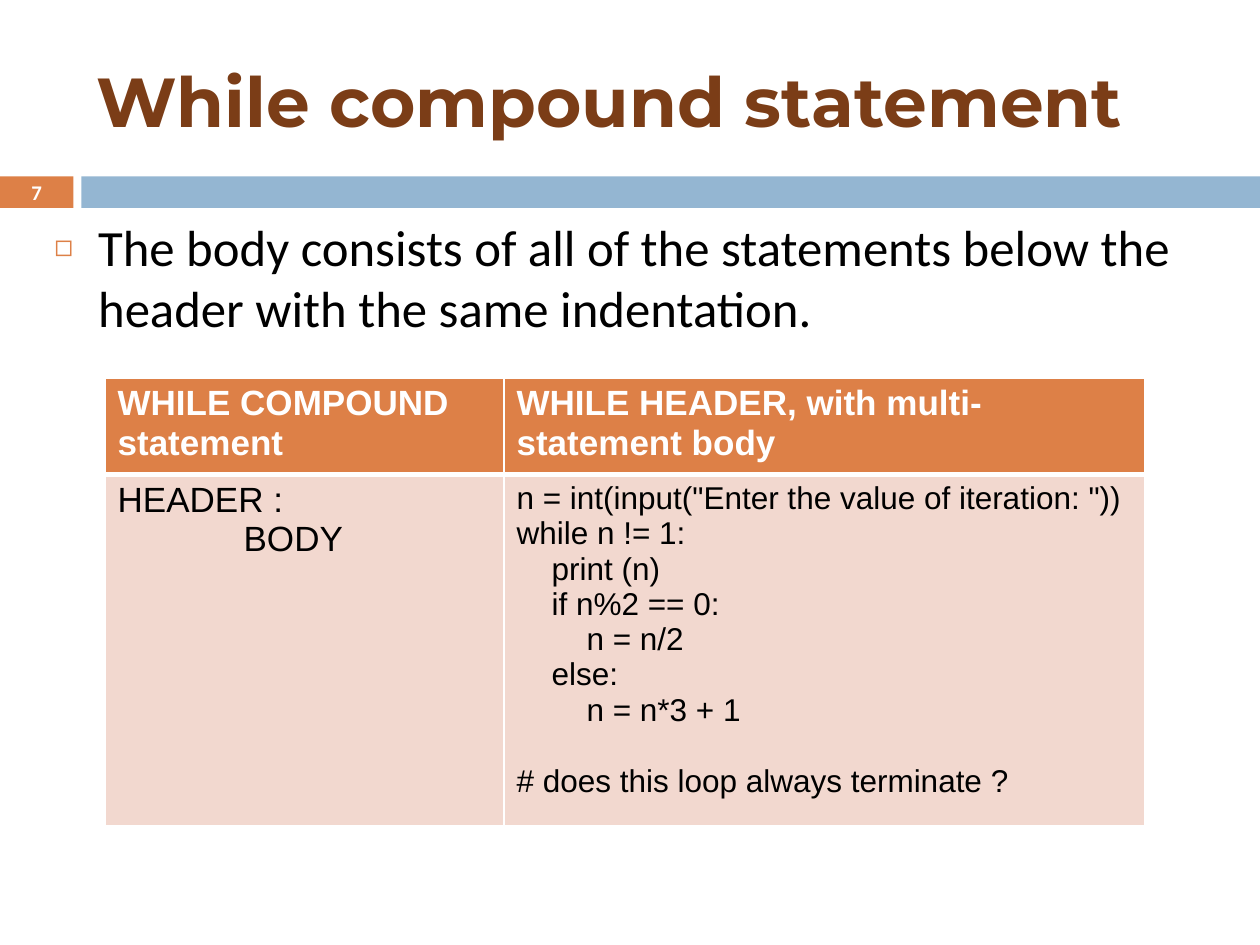
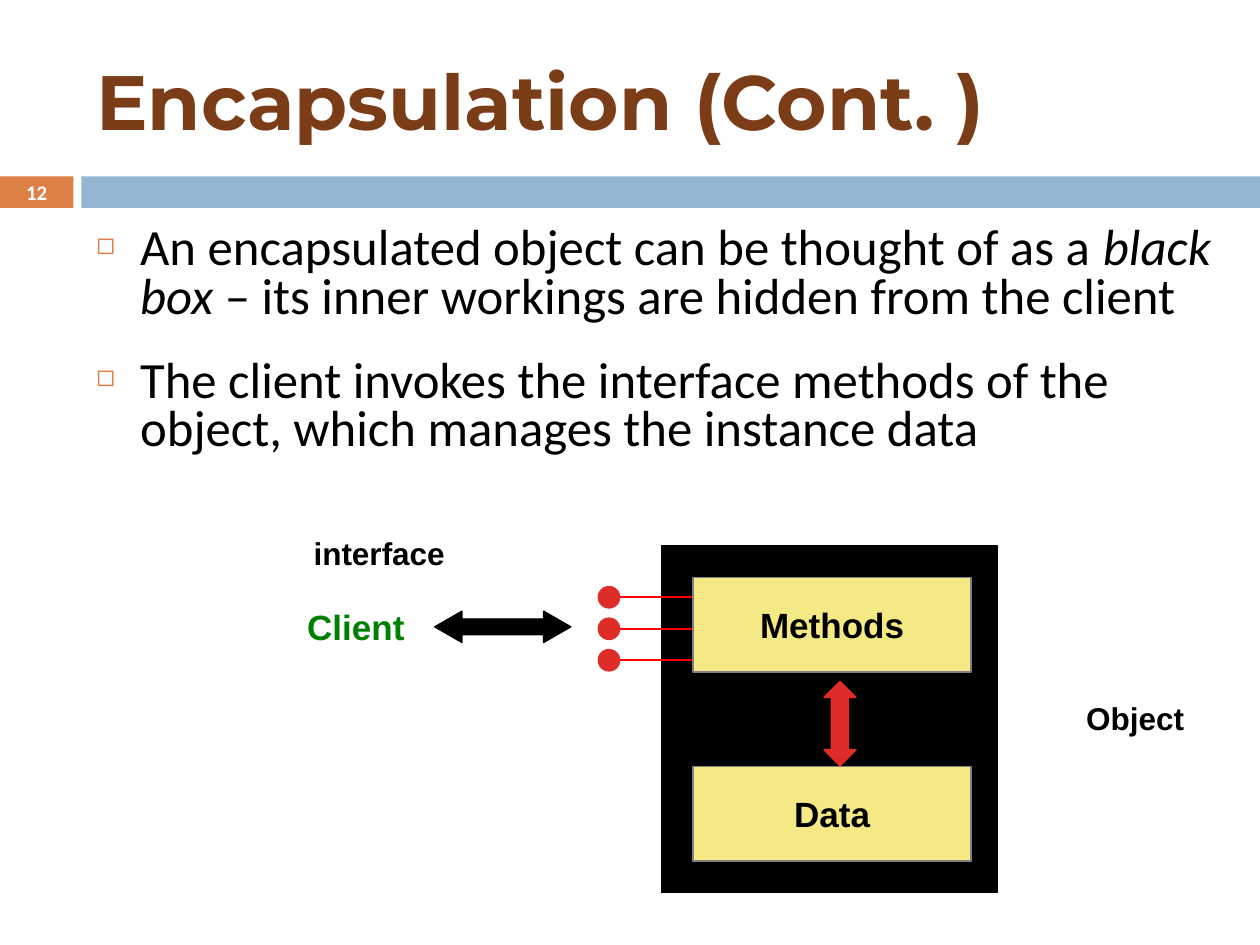
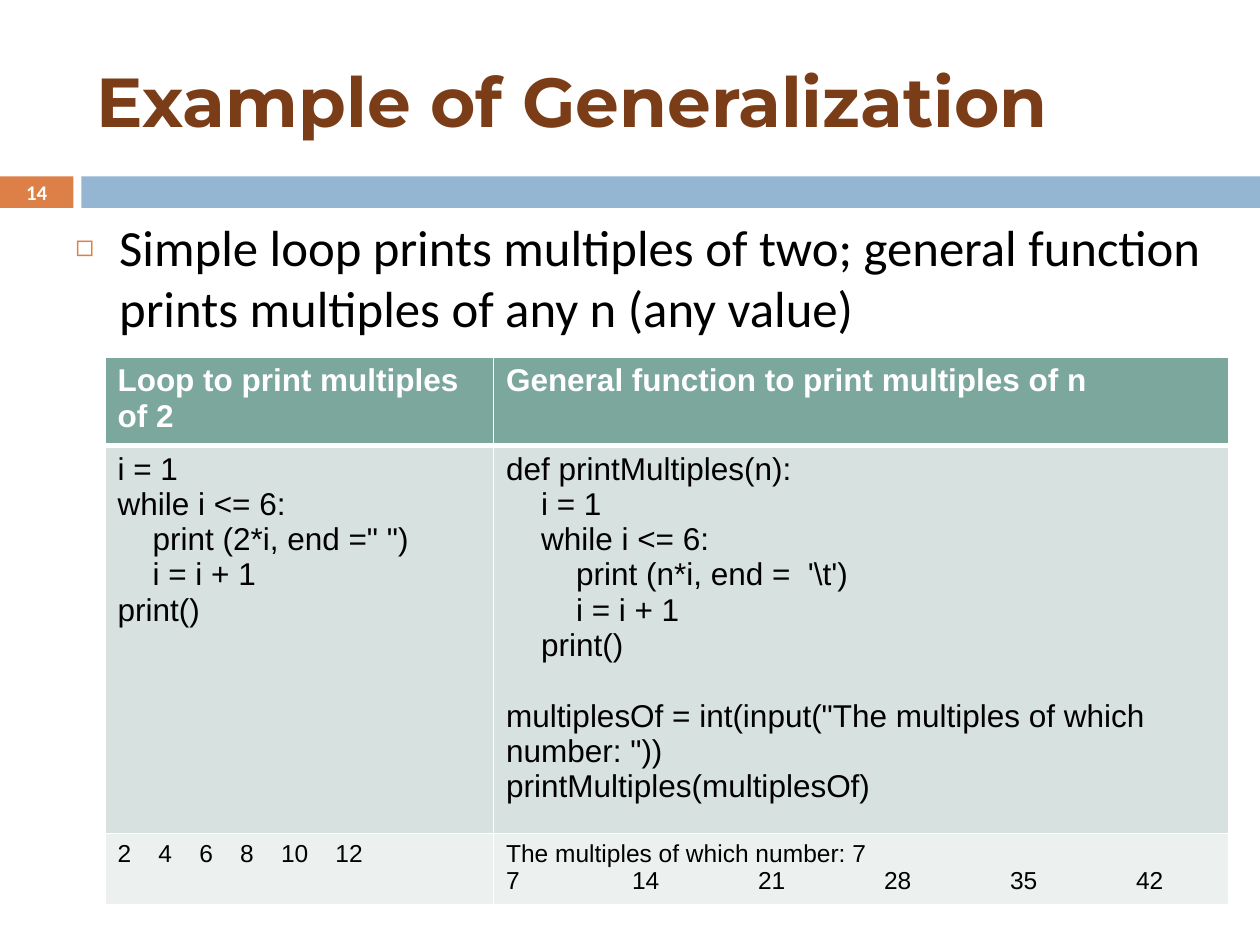
from lxml import etree
from pptx import Presentation
from pptx.dml.color import RGBColor
from pptx.enum.shapes import MSO_CONNECTOR, MSO_SHAPE
from pptx.enum.text import MSO_ANCHOR, PP_ALIGN
from pptx.oxml.ns import qn
from pptx.util import Pt

RECT, OVAL = MSO_SHAPE.RECTANGLE, MSO_SHAPE.OVAL
WIDE, TALL = MSO_SHAPE.LEFT_RIGHT_ARROW, MSO_SHAPE.UP_DOWN_ARROW
LINE = MSO_CONNECTOR.STRAIGHT
MID, TOP = MSO_ANCHOR.MIDDLE, MSO_ANCHOR.TOP
LEFT, MIDDLE = PP_ALIGN.LEFT, PP_ALIGN.CENTER

WHITE = RGBColor(0xFF, 0xFF, 0xFF)
BLACK = RGBColor(0, 0, 0)
BROWN = RGBColor(0x7B, 0x3D, 0x17)
ORANGE = RGBColor(0xDD, 0x80, 0x47)
BLUE = RGBColor(0x94, 0xB6, 0xD2)
PINK = RGBColor(0xF2, 0xD8, 0xCF)
TEAL = RGBColor(0x7B, 0xA7, 0x9D)
SAGE = RGBColor(0xD7, 0xE1, 0xDF)
MIST = RGBColor(0xEC, 0xF1, 0xEF)
RED = RGBColor(0xDE, 0x2C, 0x28)
BRIGHT = RGBColor(0xFF, 0, 0)
YELLOW = RGBColor(0xF5, 0xE9, 0x85)
GRAY = RGBColor(0x80, 0x80, 0x80)
GREEN = RGBColor(0, 0x80, 0)

HEAD, BODY, CODE = "Montserrat", "Calibri", "Arial"
ROW = 29.5  # least height of a table row; rows grow with their text


def pts(*values):
    return [Pt(v) for v in values]


def node(parent, tag, **attrs):
    item = etree.SubElement(parent, qn(tag))
    for key, value in attrs.items():
        item.set(key, str(value))
    return item


def style(para, face, size, color, bold=False):
    for run in para.runs:
        font = run.font
        font.name, font.size, font.bold = face, Pt(size), bold
        font.color.rgb = color


def label(shape, text, face, size, color, align=MIDDLE, anchor=MID, wrap=True):
    """Write one bold line into a shape or text box."""
    frame = shape.text_frame
    frame.text = text
    frame.word_wrap, frame.vertical_anchor = wrap, anchor
    frame.paragraphs[0].alignment = align
    style(frame.paragraphs[0], face, size, color, True)


def note(slide, box, text, *look, **place):
    label(slide.shapes.add_textbox(*pts(*box)), text, *look, **place)


def block(slide, kind, box, fill, line=None, width=1):
    shape = slide.shapes.add_shape(kind, *pts(*box))
    shape.shadow.inherit = False
    shape.fill.solid()
    shape.fill.fore_color.rgb = fill
    if line is None:
        shape.line.fill.background()
    else:
        shape.line.color.rgb = line
        shape.line.width = Pt(width)
    return shape


def rule(slide, x1, y1, x2, y2):
    line = slide.shapes.add_connector(LINE, *pts(x1, y1, x2, y2))
    line.line.color.rgb = BRIGHT
    line.line.width = Pt(1)
    node(line._element.spPr, "a:effectLst")


def base(deck, title, number, size=39.6):
    """Start a slide with its bands, title and number."""
    slide = deck.slides.add_slide(deck.slide_layouts[6])
    block(slide, RECT, (0, 100.8, 42, 18), ORANGE)
    block(slide, RECT, (46.5, 100.8, 673.5, 18), BLUE)
    note(slide, (48, 18, 642, 78), title, HEAD, size, BROWN, align=LEFT)
    note(slide, (0, 100, 42, 19.5), str(number), BODY, 11.9, WHITE)
    return slide


def points(slide, box, items, gap=7, pitch=None):
    """List bullets; every second part of an item is italic."""
    frame = slide.shapes.add_textbox(*pts(*box)).text_frame
    frame.word_wrap = True
    for i, parts in enumerate(items):
        para = frame.add_paragraph() if i else frame.paragraphs[0]
        for j, part in enumerate(parts):
            run = para.add_run()
            run.text = part
            run.font.italic = j % 2 == 1
        style(para, BODY, 29, BLACK)
        para.space_before = Pt(gap if i else 0)
        if pitch:
            para.line_spacing = pitch
        props = para._p.get_or_add_pPr()
        props.set("marL", str(Pt(25)))
        props.set("indent", str(Pt(-25)))
        node(node(props, "a:buClr"), "a:srgbClr", val=ORANGE)
        node(props, "a:buSzPct", val=60000)
        node(props, "a:buFont", typeface=CODE)
        node(props, "a:buChar", char="\u25fb")


def edges(cell, top, bottom):
    props = cell._tc.get_or_add_tcPr()
    for side, width in zip("LRTB", (1, 1, top, bottom)):
        line = node(props, "a:ln" + side, w=Pt(width))
        node(node(line, "a:solidFill"), "a:srgbClr", val=WHITE)


def fill(cell, text, size, color, bold, step=20, stops=()):
    """Fill a cell; leading tabs set the level, an empty line sets a gap."""
    frame = cell.text_frame
    gap, first = 0, True
    for line in text.split("\n"):
        if not line:
            gap = size * 1.13
            continue
        para = frame.paragraphs[0] if first else frame.add_paragraph()
        words = line.lstrip("\t")
        para.text = words
        para.space_before = Pt(gap)
        style(para, CODE, size, color, bold)
        props = para._p.get_or_add_pPr()
        props.set("marL", str(Pt(step * (len(line) - len(words)))))
        if stops:
            tabs = node(props, "a:tabLst")
            for stop in stops:
                node(tabs, "a:tab", pos=Pt(stop), algn="l")
        gap, first = 0, False


def grid(slide, box, cols, fills, cells):
    """Place a table; each cell is (text, size, step, stops)."""
    frame = slide.shapes.add_table(len(cells), len(cols), *pts(*box))
    table = frame.table
    for col, width in zip(table.columns, cols):
        col.width = Pt(width)
    for r, color in enumerate(fills):
        table.rows[r].height = Pt(ROW)
        for c, (text, size, *rest) in enumerate(cells[r]):
            cell = table.cell(r, c)
            edges(cell, 3 if r == 1 else 1, 3 if r == 0 else 1)
            cell.fill.solid()
            cell.fill.fore_color.rgb = color
            fill(cell, text, size, BLACK if r else WHITE, r == 0, *rest)


def scheme(slide, x, y):
    """Draw the client, the interface and the object as a black box."""
    block(slide, RECT, (x + 216, y + 12, 192, 198), BLACK, BLACK)
    # Interface pins
    for i in range(3):
        mid = y + 41.3 + 18 * i
        rule(slide, x + 234, mid, x + 186, mid)
        block(slide, OVAL, (x + 180, mid - 6, 12, 12), RED, RED)
    # Parts inside the object
    for text, drop in (("Methods", 30), ("Data", 138)):
        part = block(slide, RECT, (x + 234, y + drop, 159, 54), YELLOW, GRAY)
        label(part, text, CODE, 20, BLACK, wrap=False)
    # Arrows
    for kind, box, color, width, head in (
        (TALL, (x + 309, y + 89.5, 18, 48), RED, 1, 0.533),
        (WIDE, (x + 86.4, y + 49.2, 77.8, 18), BLACK, 0.75, 0.867),
    ):
        arrow = block(slide, kind, box, color, color, width)
        arrow.adjustments[0], arrow.adjustments[1] = 0.5, head
    # Labels
    note(slide, (x - 2.6, y + 42.5, 88, 31), "Client", CODE, 20, GREEN,
         wrap=False)
    for text, dx, dy in (("Object", 433.4, 96), ("interface", 1.4, 1.7)):
        note(slide, (x + dx, y + dy, 106.6, 28.8), text, CODE, 18, BLACK,
             anchor=TOP)


LOOP = """n = int(input("Enter the value of iteration: "))
while n != 1:
\tprint (n)
\tif n%2 == 0:
\t\tn = n/2
\telse:
\t\tn = n*3 + 1

# does this loop always terminate ?"""

TWOS = """i = 1
while i <= 6:
\tprint (2*i, end =" ")
\ti = i + 1
print()"""

ANY = """def printMultiples(n):
\ti = 1
\twhile i <= 6:
\t\tprint (n*i, end =  '\\t')
\t\ti = i + 1
\tprint()

multiplesOf = int(input("The multiples of which number: "))
printMultiples(multiplesOf)"""


def loops(deck):
    slide = base(deck, "While compound statement", 7)
    points(slide, (24, 120, 684, 402), [[
        "The body consists of all of the statements below the header "
        "with the same indentation."]])
    grid(slide, (60, 216, 594, 257), (228, 366), (ORANGE, PINK), [
        [("WHILE COMPOUND statement", 20),
         ("WHILE HEADER, with multi-statement body", 20)],
        [("HEADER :\n\tBODY", 20, 72), (LOOP, 18)],
    ])


def hiding(deck):
    slide = base(deck, "Encapsulation (Cont. )", 12, 44)
    points(slide, (48, 126, 660, 402), [
        ["An encapsulated object can be thought of as a ", "black box",
         " \u2013 its inner workings are hidden from the client"],
        ["The client invokes the interface methods of the object, "
         "which manages the instance data"],
    ], gap=20, pitch=0.8)
    scheme(slide, 162, 300)


def general(deck):
    slide = base(deck, "Example of Generalization", 14)
    points(slide, (36, 120, 675, 408), [[
        "Simple loop prints multiples of two; general function "
        "prints multiples of any n (any value)"]])
    evens = "\t".join(str(2 * i) for i in range(1, 7))
    sevens = "\t".join(str(7 * i) for i in range(1, 7))
    grid(slide, (60, 204, 642, 314.6), (222, 420), (TEAL, SAGE, MIST), [
        [("Loop to print multiples of 2", 18),
         ("General function to print multiples of n", 18)],
        [(TWOS, 18), (ANY, 18)],
        [(evens, 14, 0, (23.35, 46.7, 70.05, 93.4, 124.5)),
         ("The multiples of which number: 7\n" + sevens, 14, 0,
          range(72, 361, 72))],
    ])


deck = Presentation()
deck.slide_width, deck.slide_height = Pt(720), Pt(540)
for build in (loops, hiding, general):
    build(deck)
deck.save("out.pptx")
